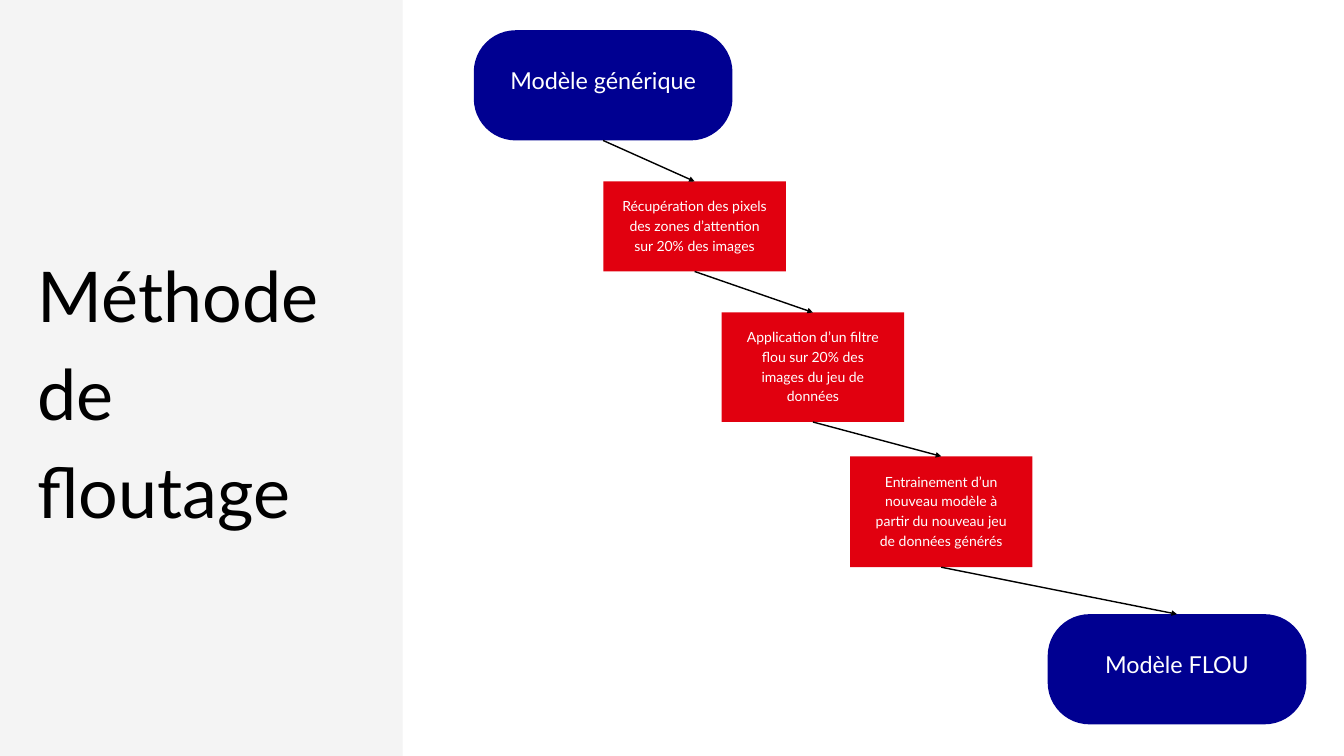
from pptx import Presentation
from pptx.dml.color import RGBColor
from pptx.enum.shapes import MSO_CONNECTOR, MSO_SHAPE
from pptx.enum.text import MSO_ANCHOR, PP_ALIGN
from pptx.oxml.ns import qn
from pptx.util import Inches, Pt
from lxml import etree

RECT, ROUND = MSO_SHAPE.RECTANGLE, MSO_SHAPE.ROUNDED_RECTANGLE
LINE = MSO_CONNECTOR.STRAIGHT
LEFT, MID = PP_ALIGN.LEFT, PP_ALIGN.CENTER
TOP, HALF = MSO_ANCHOR.TOP, MSO_ANCHOR.MIDDLE
BOTTOM_SIDE, TOP_SIDE = 2, 0

TITLE = "Méthode de floutage"
NODES = [
    ("model", "Modèle générique", 35.25, 4, 14.58),
    ("step", "Récupération des pixels des zones d’attention sur 20% des images",
     44.9, 24, 11.91),
    ("step", "Application d’un filtre flou sur 20% des images du jeu de données",
     53.7, 41.33, 14.49),
    ("step", "Entrainement d’un nouveau modèle à partir du nouveau jeu de données générés",
     63.25, 60.36, 14.67),
    ("model", "Modèle FLOU", 77.95, 81.24, 14.58),
]

THEME = {
    "font": "Lato", "ink": "000000", "light": "FFFFFF", "panel": "F4F4F4",
    "title": 75, "lead": 1.4, "line": 1.5, "inset": 0.28,
}
KINDS = {
    "model": {"form": ROUND, "fill": "000091", "size": 25, "wide": 19.25, "lift": 0.22},
    "step": {"form": RECT, "fill": "E1000F", "size": 15, "wide": 13.57, "lift": 0.06},
}
WIDE, HIGH = Inches(20), Inches(11.25)


def color(name):
    return RGBColor.from_string(name)


def place(x, y, w, h):
    return [round(part * full / 100)
            for part, full in zip((x, y, w, h), (WIDE, HIGH, WIDE, HIGH))]


def write(shape, text, size, ink, align=LEFT, anchor=TOP, inset=0, lift=0):
    frame = shape.text_frame
    frame.word_wrap = True
    frame.vertical_anchor = anchor
    frame.margin_left = frame.margin_right = frame.margin_bottom = Inches(inset)
    frame.margin_top = Inches(inset - lift)
    para = frame.paragraphs[0]
    para.alignment = align
    para.line_spacing = Pt(size * THEME["lead"])
    run = para.add_run()
    run.text = text
    run.font.name = THEME["font"]
    run.font.size = Pt(size)
    run.font.color.rgb = color(ink)


def block(slide, form, fill, box):
    shape = slide.shapes.add_shape(form, *box)
    shape.shadow.inherit = False
    shape.fill.solid()
    shape.fill.fore_color.rgb = color(fill)
    shape.line.fill.background()
    return shape


def node(slide, kind, text, x, y, h):
    look = KINDS[kind]
    shape = block(slide, look["form"], look["fill"], place(x, y, look["wide"], h))
    if look["form"] == ROUND:
        shape.adjustments[0] = 0.38
    write(shape, text, look["size"], THEME["light"], align=MID, anchor=HALF,
          inset=THEME["inset"], lift=look["lift"])
    return shape


def arrow(slide, start, end):
    link = slide.shapes.add_connector(LINE, 0, 0, 0, 0)
    link.begin_connect(start, BOTTOM_SIDE)
    link.end_connect(end, TOP_SIDE)
    link.line.color.rgb = color(THEME["ink"])
    link.line.width = Pt(THEME["line"])
    etree.SubElement(link.line._get_or_add_ln(), qn("a:tailEnd"), type="triangle")
    etree.SubElement(link._element.spPr, qn("a:effectLst"))


def main():
    deck = Presentation()
    deck.slide_width, deck.slide_height = WIDE, HIGH
    slide = deck.slides.add_slide(deck.slide_layouts[6])
    block(slide, RECT, THEME["panel"], place(0, 0, 29.95, 100))
    title = slide.shapes.add_textbox(*place(2.8, 31.55, 24.35, 38.15))
    write(title, TITLE, THEME["title"], THEME["ink"])
    chain = [node(slide, *item) for item in NODES]
    for start, end in zip(chain, chain[1:]):
        arrow(slide, start, end)
    deck.save("out.pptx")


if __name__ == "__main__":
    main()
